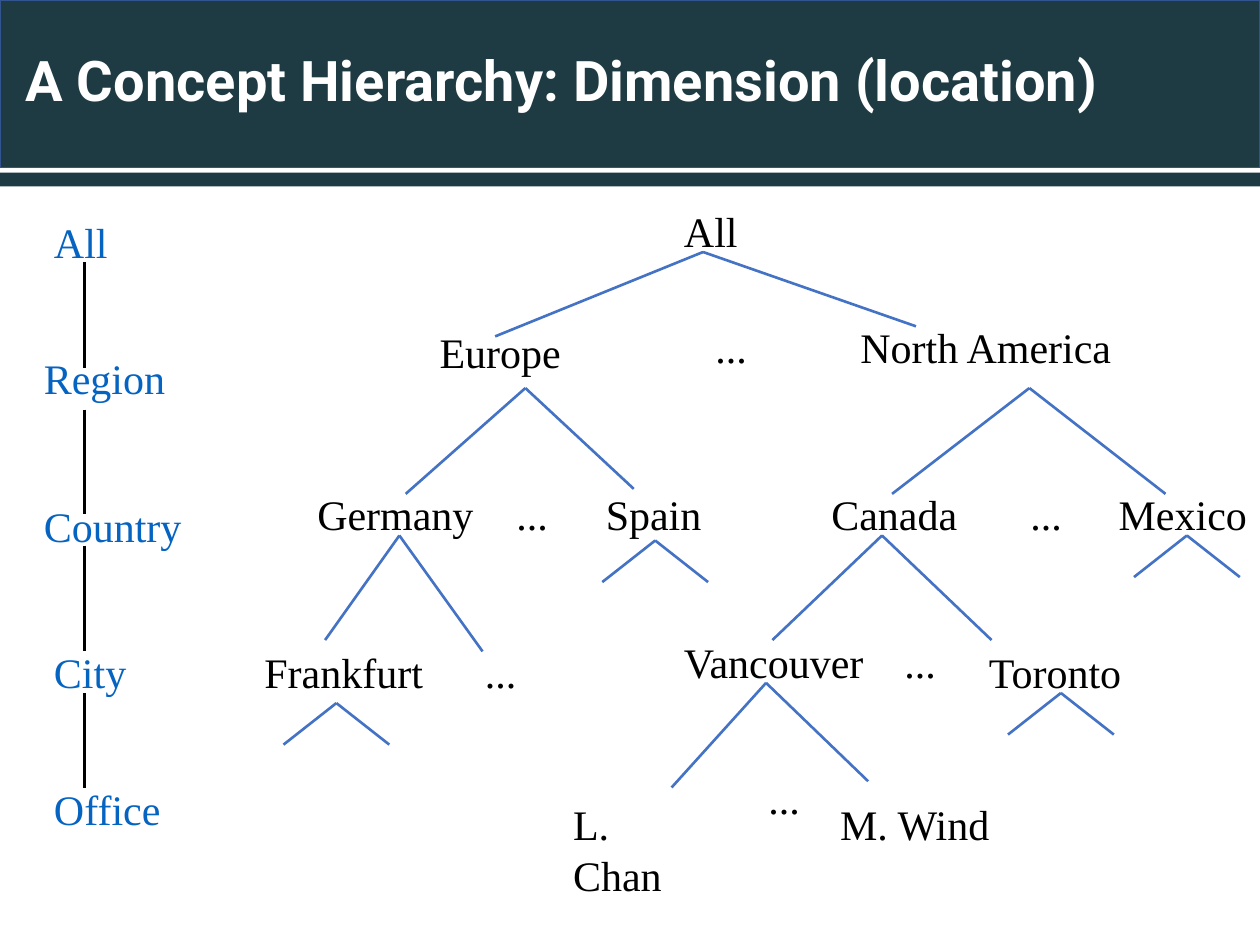
from lxml import etree
from pptx import Presentation
from pptx.dml.color import RGBColor
from pptx.enum.shapes import MSO_CONNECTOR, MSO_SHAPE
from pptx.enum.text import MSO_ANCHOR, MSO_AUTO_SIZE, PP_ALIGN
from pptx.oxml.ns import qn
from pptx.util import Inches, Pt

COLORS = {
    "band": "1E3A42", "band_line": "325491", "title": "FFFFFF",
    "node": "000000", "level": "0563C1", "branch": "4472C4", "spine": "000000",
}

LEVELS = [
    ("All", 0.08, 0, 0.63), ("Region", 0, 1.08, 1.17), ("Country", 0, 2.25, 1.3),
    ("City", 0.08, 3.41, 0.78), ("Office", 0.08, 4.5, 1.05),
]
SPINE = [(0.41, 1.25), (1.58, 2.41), (2.66, 3.5), (3.83, 4.58)]

NODES = [
    ("All", 3.33, 0.08, 0.63),
    ("Europe", 1.39, 1.04, 1.16), ("...", 3.58, 1, 0.45), ("North America", 4.73, 1, 2.21),
    ("Germany", 0.42, 2.33, 1.44), ("...", 2, 2.33, 0.45), ("Spain", 2.71, 2.33, 0.96),
    ("Canada", 4.5, 2.33, 1.2), ("...", 6.08, 2.33, 0.45), ("Mexico", 6.78, 2.33, 1.22),
    ("Frankfurt", 0, 3.58, 1.46), ("...", 1.75, 3.58, 0.45), ("Vancouver", 3.33, 3.5, 1.66),
    ("...", 5.08, 3.5, 0.45), ("Toronto", 5.75, 3.58, 1.27),
    ("L. Chan", 2.45, 4.79, 1.27), ("...", 4, 4.58, 0.45), ("M. Wind", 4.57, 4.79, 1.4),
]
FORKS = [
    ((3.58, 0.5), (1.93, 1.17), (5.27, 1.09)),
    ((2.17, 1.58), (1.22, 2.42), (3.03, 2.38)),
    ((6.17, 1.58), (5.08, 2.42), (7.25, 2.42)),
    ((1.17, 2.75), (0.58, 3.58), (1.83, 3.67)),
    ((5, 2.75), (4.13, 3.58), (5.87, 3.58)),
    ((4.08, 3.92), (3.33, 4.75), (4.89, 4.7)),
]
STUBS = [(3.2, 2.79), (7.42, 2.75), (0.67, 4.08), (6.42, 4)]
STUB_DX, STUB_DY = 0.42, 0.33


def rgb(name):
    return RGBColor.from_string(COLORS[name])


def add_label(s, text, x, y, w, color):
    sp = s.shapes.add_textbox(Inches(x), Inches(y), Inches(w), Inches(0.5))
    tf = sp.text_frame
    tf.word_wrap = False
    tf.auto_size = MSO_AUTO_SIZE.SHAPE_TO_FIT_TEXT
    p = tf.paragraphs[0]
    p.text = text
    p.font.name = "Times New Roman"
    p.font.size = Pt(24)
    p.font.color.rgb = rgb(color)


def add_line(s, x1, y1, x2, y2, color):
    line = s.shapes.add_connector(
        MSO_CONNECTOR.STRAIGHT, Inches(x1), Inches(y1), Inches(x2), Inches(y2))
    line.line.color.rgb = rgb(color)
    line.line.width = Pt(1.5)
    etree.SubElement(line._element.spPr, qn("a:effectLst"))


def add_header(s, x, y, w):
    title = s.shapes.title
    for top, h in ((0, 1.33), (1.37, 0.11)):
        band = s.shapes.add_shape(
            MSO_SHAPE.RECTANGLE, Inches(x), Inches(y + top), Inches(w), Inches(h))
        band.shadow.inherit = False
        band.fill.solid()
        band.fill.fore_color.rgb = rgb("band")
        if top:
            band.line.fill.background()
        else:
            band.line.color.rgb = rgb("band_line")
            band.line.width = Pt(1)
        title.element.addprevious(band.element)

    title.left, title.top = Inches(x + 0.1), Inches(y)
    title.width, title.height = Inches(w - 0.1), Inches(1.33)
    tf = title.text_frame
    tf.word_wrap = True
    tf.auto_size = MSO_AUTO_SIZE.NONE
    tf.vertical_anchor = MSO_ANCHOR.MIDDLE
    p = tf.paragraphs[0]
    p.text = "A Concept Hierarchy: Dimension (location)"
    p.alignment = PP_ALIGN.LEFT
    p.line_spacing = 0.9
    p.font.name = "Roboto"
    p.font.size = Pt(32)
    p.font.bold = True
    p.font.color.rgb = rgb("title")


def add_levels(s, x, y):
    for text, dx, dy, w in LEVELS:
        add_label(s, text, x + dx, y + dy, w, "level")
    for start, end in SPINE:
        add_line(s, x + 0.42, y + start, x + 0.42, y + end, "spine")


def add_tree(s, x, y):
    for text, dx, dy, w in NODES:
        add_label(s, text, x + dx, y + dy, w, "node")
    stubs = [((ax, ay), (ax - STUB_DX, ay + STUB_DY), (ax + STUB_DX, ay + STUB_DY))
             for ax, ay in STUBS]
    for (ax, ay), *ends in FORKS + stubs:
        for ex, ey in ends:
            add_line(s, x + ax, y + ay, x + ex, y + ey, "branch")


def main():
    prs = Presentation()
    prs.slide_width, prs.slide_height = Inches(10), Inches(7.5)
    s = prs.slides.add_slide(prs.slide_layouts[5])
    add_header(s, 0, 0, 10)
    add_levels(s, 0.25, 1.67)
    add_tree(s, 2, 1.5)
    prs.save("out.pptx")


if __name__ == "__main__":
    main()
